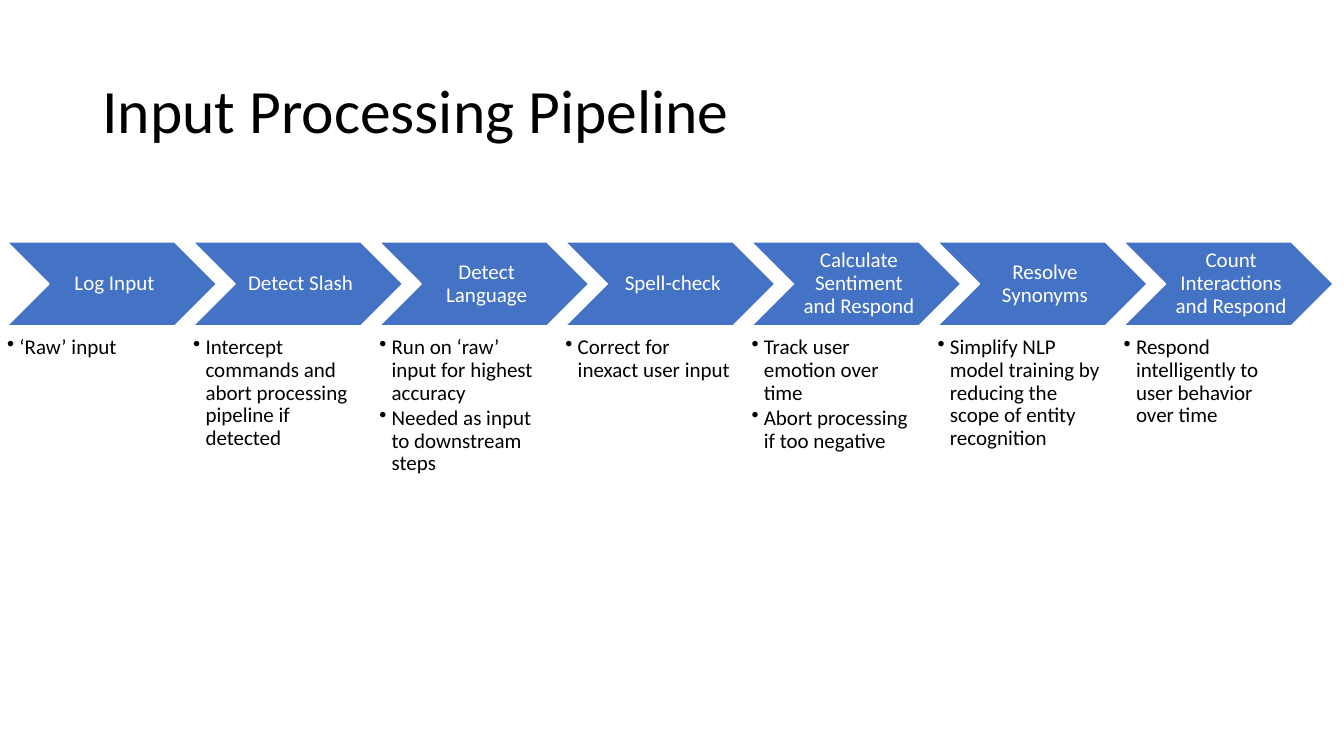
import dataclasses
import typing

import lxml.etree
import pptx
import pptx.dml.color
import pptx.enum.shapes
import pptx.enum.text
import pptx.oxml.ns
import pptx.util

Cm = pptx.util.Cm
Pt = pptx.util.Pt
RGB = pptx.dml.color.RGBColor
Anchor = pptx.enum.text.MSO_ANCHOR
Align = pptx.enum.text.PP_ALIGN


@dataclasses.dataclass(frozen=True)
class Theme:
    font: str = "Calibri"
    title_size: float = 44
    body_size: float = 15
    ink: RGB = RGB(0, 0, 0)
    paper: RGB = RGB(255, 255, 255)
    accent: RGB = RGB(0x44, 0x72, 0xC4)


@dataclasses.dataclass(frozen=True)
class Stage:
    label: str
    notes: tuple[str, ...]


THEME = Theme()
STAGES = (
    Stage("Log Input", ("‘Raw’ input",)),
    Stage("Detect Slash", ("Intercept commands and abort processing pipeline if detected",)),
    Stage("Detect Language", ("Run on ‘raw’ input for highest accuracy",
                              "Needed as input to downstream steps")),
    Stage("Spell-check", ("Correct for inexact user input",)),
    Stage("Calculate Sentiment and Respond", ("Track user emotion over time",
                                              "Abort processing if too negative")),
    Stage("Resolve Synonyms",
          ("Simplify NLP model training by reducing the scope of entity recognition",)),
    Stage("Count Interactions and Respond", ("Respond intelligently to user behavior over time",)),
)

FIRST_LEFT, STAGE_PITCH = 0.18, 4.69
CHEVRON_TOP, CHEVRON_WIDTH, CHEVRON_HEIGHT = 6.1, 5.28, 2.11
NOTES_TOP, NOTES_WIDTH, NOTES_HEIGHT = 8.48, 4.23, 3.61
BULLET_INDENT = Cm(0.31)

TITLE_BOX = {"left": Cm(2.33), "top": Cm(1.01), "width": Cm(29.21), "height": Cm(3.68)}
TITLE_FRAME = {"vertical_anchor": Anchor.MIDDLE, "word_wrap": True,
               "auto_size": pptx.enum.text.MSO_AUTO_SIZE.NONE}
LABEL_FRAME = {"vertical_anchor": Anchor.MIDDLE, "word_wrap": True,
               "margin_left": Cm(0.18), "margin_right": Cm(0.05),
               "margin_top": Cm(0.05), "margin_bottom": Cm(0.05)}
NOTES_FRAME = {"vertical_anchor": Anchor.TOP, "word_wrap": True,
               "margin_left": 0, "margin_right": 0, "margin_top": 0, "margin_bottom": 0}
TITLE_PARAGRAPH = {"alignment": Align.LEFT, "line_spacing": 0.9}
LABEL_PARAGRAPH = {"alignment": Align.CENTER, "line_spacing": 0.9}
NOTE_PARAGRAPH = {"alignment": Align.LEFT, "line_spacing": 0.9,
                  "space_after": Pt(2), "level": 1}


def apply(target: typing.Any, values: dict[str, typing.Any]) -> None:
    for name, value in values.items():
        setattr(target, name, value)


def write(frame: typing.Any, lines: tuple[str, ...], frame_format: dict,
          paragraph_format: dict, size: float, color: RGB) -> None:
    apply(frame, frame_format)
    frame.text = "\n".join(lines)
    for paragraph in frame.paragraphs:
        apply(paragraph, paragraph_format)
        for run in paragraph.runs:
            apply(run.font, {"name": THEME.font, "size": Pt(size)})
            run.font.color.rgb = color


def add_bullet(paragraph: typing.Any) -> None:
    properties = paragraph._p.get_or_add_pPr()
    properties.set("marL", str(BULLET_INDENT))
    properties.set("indent", str(-BULLET_INDENT))
    bullet = lxml.etree.SubElement(properties, pptx.oxml.ns.qn("a:buChar"))
    bullet.set("char", "•")


def draw_stage(shapes: typing.Any, stage: Stage, left: float) -> None:
    chevron = shapes.add_shape(pptx.enum.shapes.MSO_SHAPE.CHEVRON, Cm(left), Cm(CHEVRON_TOP),
                               Cm(CHEVRON_WIDTH), Cm(CHEVRON_HEIGHT))
    chevron.shadow.inherit = False
    chevron.fill.solid()
    chevron.fill.fore_color.rgb = THEME.accent
    chevron.line.color.rgb = THEME.paper
    chevron.line.width = Pt(1)
    write(chevron.text_frame, (stage.label,), LABEL_FRAME, LABEL_PARAGRAPH,
          THEME.body_size, THEME.paper)

    notes = shapes.add_textbox(Cm(left), Cm(NOTES_TOP), Cm(NOTES_WIDTH), Cm(NOTES_HEIGHT))
    write(notes.text_frame, stage.notes, NOTES_FRAME, NOTE_PARAGRAPH,
          THEME.body_size, THEME.ink)
    for paragraph in notes.text_frame.paragraphs:
        add_bullet(paragraph)


def main() -> None:
    deck = pptx.Presentation()
    apply(deck, {"slide_width": Cm(33.87), "slide_height": Cm(19.05)})
    slide = deck.slides.add_slide(deck.slide_layouts.get_by_name("Title Only"))
    title = slide.shapes.title
    apply(title, TITLE_BOX)
    write(title.text_frame, ("Input Processing Pipeline",), TITLE_FRAME, TITLE_PARAGRAPH,
          THEME.title_size, THEME.ink)
    pipeline = slide.shapes.add_group_shape()
    for position, stage in enumerate(STAGES):
        draw_stage(pipeline.shapes, stage, FIRST_LEFT + position * STAGE_PITCH)
    deck.save("out.pptx")


if __name__ == "__main__":
    main()
